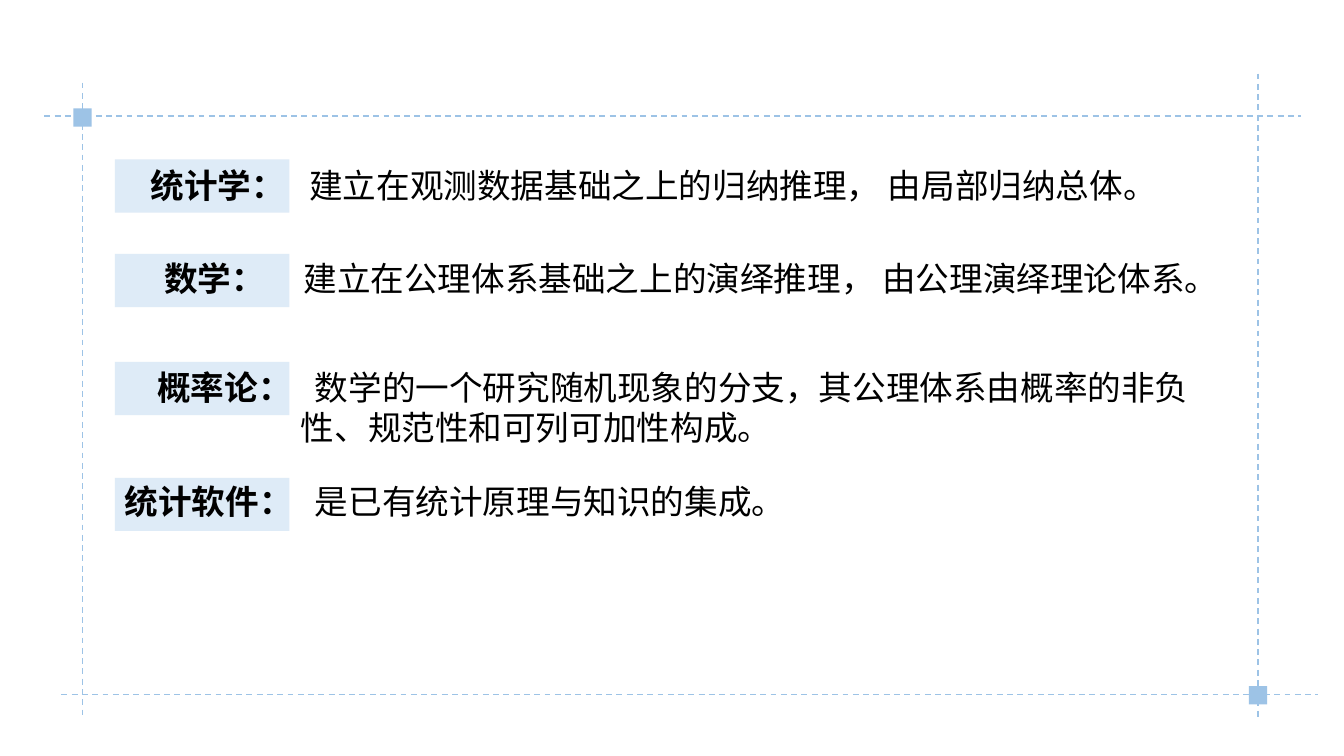
from pptx import Presentation
from pptx.dml.color import RGBColor
from pptx.enum.dml import MSO_LINE
from pptx.enum.shapes import MSO_CONNECTOR, MSO_SHAPE
from pptx.enum.text import MSO_AUTO_SIZE as Fit
from pptx.oxml.ns import qn
from pptx.util import Pt
from lxml import etree

BLUE = RGBColor(0x9D, 0xC3, 0xE6)
PALE = RGBColor(0xDE, 0xEB, 0xF7)
BLACK = RGBColor(0, 0, 0)
FONT = "Times New Roman"
SIZE = 24
INSET = 7.2

RULES = [
    (59, 59, 59, 512.6),
    (898.6, 52.6, 898.6, 512.6),
    (31.7, 83, 929.5, 83),
    (43.9, 496, 941.8, 496),
]
KNOTS = [(52.5, 77.5), (892.1, 490.1)]
KNOT = 13

TAG = (82, 124.8, 38)
ROWS = [
    {"tag": 113.8, "box": (85.7, 114.5, 742.3, 36), "label_x": 107.8, "body_x": 221,
     "label": "统计学：", "body": "建立在观测数据基础之上的归纳推理， 由局部归纳总体。"},
    {"tag": 181.4, "box": (90, 180.7, 780.5, 36), "label_x": 117.5, "body_x": 217,
     "label": "数学：", "body": "建立在公理体系基础之上的演绎推理， 由公理演绎理论体系。"},
    {"tag": 258.5, "box": (90, 258.5, 777.6, 65.5), "label_x": 112.5, "body_x": 225,
     "label": "概率论：", "body": "数学的一个研究随机现象的分支，其公理体系由概率的非负",
     "more": "性、规范性和可列可加性构成。", "more_x": 215},
    {"tag": 341.3, "box": (82, 339.8, 574.6, 36), "label_x": 89.2, "body_x": 225,
     "label": "统计软件：", "body": "是已有统计原理与知识的集成。"},
]


def add_rect(slide, x, y, w, h, color):
    rect = slide.shapes.add_shape(MSO_SHAPE.RECTANGLE, Pt(x), Pt(y), Pt(w), Pt(h))
    rect.shadow.inherit = False
    rect.fill.solid()
    rect.fill.fore_color.rgb = color
    rect.line.fill.background()


def add_rule(slide, ends):
    rule = slide.shapes.add_connector(MSO_CONNECTOR.STRAIGHT, *map(Pt, ends))
    rule.line.color.rgb = BLUE
    rule.line.width = Pt(1.05)
    rule.line.dash_style = MSO_LINE.DASH
    etree.SubElement(rule._element.spPr, qn("a:effectLst"))


def add_run(para, text, bold=False):
    run = para.add_run()
    run.text = text
    run.font.name = FONT
    run.font.size = Pt(SIZE)
    run.font.bold = bold
    run.font.color.rgb = BLACK


def set_indent(para, margin, first=0):
    props = para._p.get_or_add_pPr()
    props.set("marL", str(Pt(margin)))
    props.set("indent", str(Pt(first)))


def add_row(slide, row):
    box = slide.shapes.add_textbox(*map(Pt, row["box"]))
    frame = box.text_frame
    frame.word_wrap = True
    frame.auto_size = Fit.SHAPE_TO_FIT_TEXT
    start = row["box"][0] + INSET
    para = frame.paragraphs[0]
    set_indent(para, row["body_x"] - start, row["label_x"] - row["body_x"])
    add_run(para, row["label"] + "\t", True)
    add_run(para, row["body"])
    if "more" in row:
        para = frame.add_paragraph()
        set_indent(para, row["more_x"] - start)
        add_run(para, row["more"])


def main():
    deck = Presentation()
    deck.slide_width, deck.slide_height = Pt(960), Pt(540)
    slide = deck.slides.add_slide(deck.slide_layouts[6])
    for ends in RULES:
        add_rule(slide, ends)
    for x, y in KNOTS:
        add_rect(slide, x, y, KNOT, KNOT, BLUE)
    left, width, height = TAG
    for row in ROWS:
        add_rect(slide, left, row["tag"], width, height, PALE)
        add_row(slide, row)
    deck.save("out.pptx")


if __name__ == "__main__":
    main()
